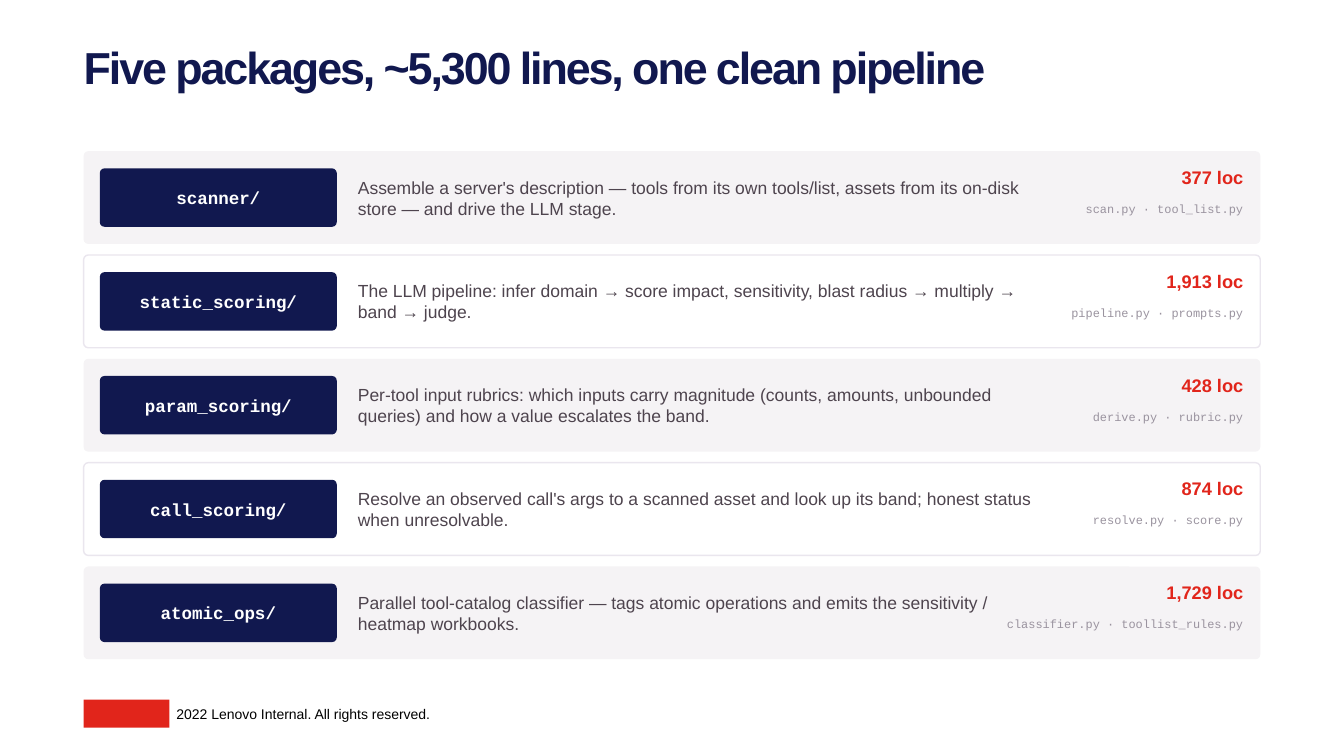
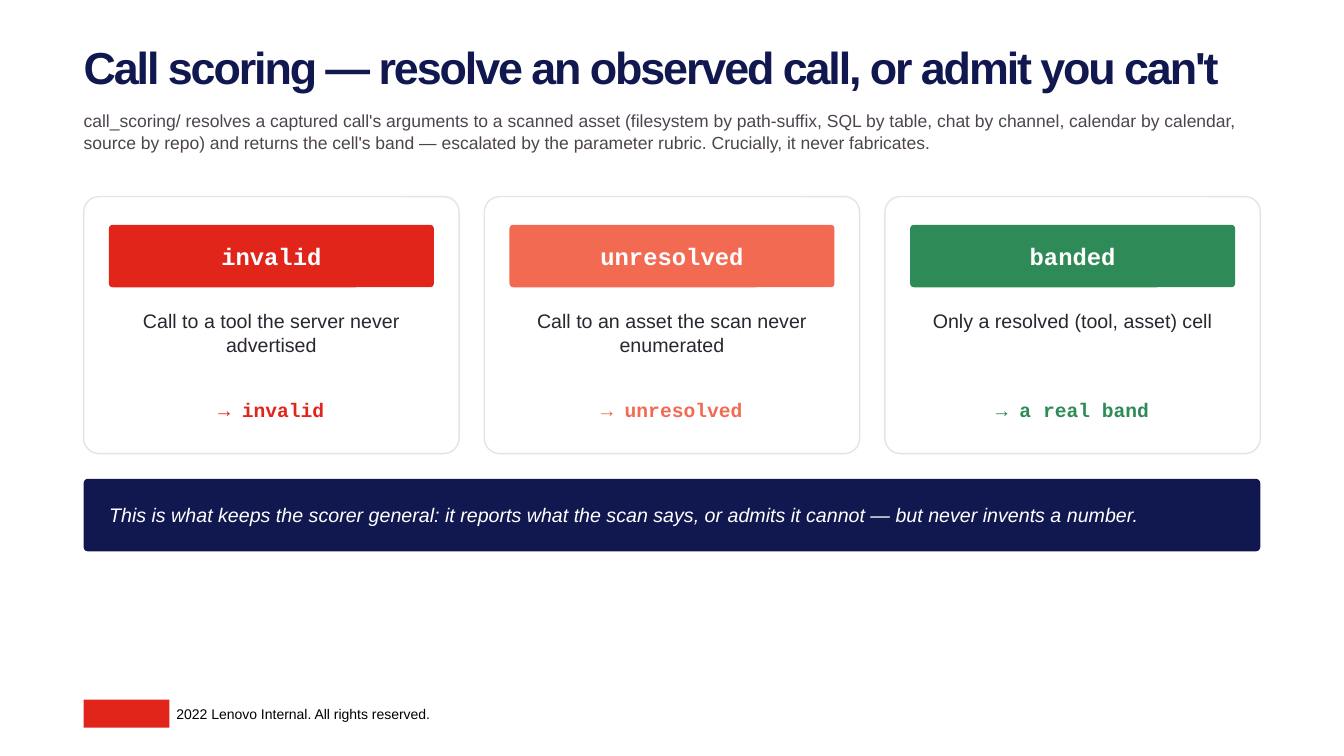
"""Build two slides on the scoring packages and the call scoring outcomes."""
from pptx import Presentation
from pptx import util as u
from pptx.dml import color as dml
from pptx.enum import shapes, text

COLOURS = {
    "navy": "11184F", "red": "E1251B", "coral": "F26A52", "green": "2E8B57",
    "white": "FFFFFF", "black": "000000", "band": "F5F3F5", "row_line": "EAE6EE",
    "card_line": "E6E2EA", "body": "4E444E", "ink": "2B2530", "muted": "9A939F",
}
SANS, MONO = "Arial", "Courier New"
LEFT, WIDTH = 0.83, 11.67
CENTER, RIGHT = text.PP_ALIGN.CENTER, text.PP_ALIGN.RIGHT
MIDDLE = text.MSO_ANCHOR.MIDDLE

PACKAGES = [
    ("scanner/", "Assemble a server's description — tools from its own tools/list, assets "
     "from its on-disk store — and drive the LLM stage.", "377 loc", "scan.py · tool_list.py"),
    ("static_scoring/", "The LLM pipeline: infer domain → score impact, sensitivity, blast "
     "radius → multiply → band → judge.", "1,913 loc", "pipeline.py · prompts.py"),
    ("param_scoring/", "Per-tool input rubrics: which inputs carry magnitude (counts, amounts, "
     "unbounded queries) and how a value escalates the band.", "428 loc",
     "derive.py · rubric.py"),
    ("call_scoring/", "Resolve an observed call's args to a scanned asset and look up its band; "
     "honest status when unresolvable.", "874 loc", "resolve.py · score.py"),
    ("atomic_ops/", "Parallel tool-catalog classifier — tags atomic operations and emits the "
     "sensitivity / heatmap workbooks.", "1,729 loc", "classifier.py · toollist_rules.py"),
]
OUTCOMES = [
    ("invalid", "Call to a tool the server never advertised", "→ invalid", "red"),
    ("unresolved", "Call to an asset the scan never enumerated", "→ unresolved", "coral"),
    ("banded", "Only a resolved (tool, asset) cell", "→ a real band", "green"),
]


class Deck:
    def __init__(self):
        self.presentation = Presentation()
        self.presentation.slide_width = u.Inches(13.33)
        self.presentation.slide_height = u.Inches(7.5)
        self.slide = None

    def add_slide(self, title):
        self.slide = self.presentation.slides.add_slide(self.presentation.slide_layouts[6])
        self.label(1.75, 7, 4.5, 0.17, "2022 Lenovo Internal. All rights reserved.", 10, "black")
        self.panel(LEFT, 6.94, 0.85, 0.28, "red")
        self.label(LEFT, 0.48, WIDTH, 0.46, title, 32, "navy",
                   bold=True, line_spacing=0.85, tracking=-1.5)

    def panel(self, left, top, width, height, fill, line=None, corner=None):
        preset = shapes.MSO_SHAPE.ROUNDED_RECTANGLE if corner else shapes.MSO_SHAPE.RECTANGLE
        shape = self.slide.shapes.add_shape(
            preset, u.Inches(left), u.Inches(top), u.Inches(width), u.Inches(height))
        shape.shadow.inherit = False
        if corner:
            shape.adjustments[0] = corner
        shape.fill.solid()
        shape.fill.fore_color.rgb = self.colour(fill)
        if line:
            shape.line.color.rgb = self.colour(line)
            shape.line.width = u.Pt(1)
        else:
            shape.line.fill.background()
        return shape

    def label(self, left, top, width, height, words, size, colour, **style):
        box = self.slide.shapes.add_textbox(
            u.Inches(left), u.Inches(top), u.Inches(width), u.Inches(height))
        self.set_words(box, words, size, colour, **style)

    def badge(self, left, top, width, height, words, size, fill, corner):
        shape = self.panel(left, top, width, height, fill, corner=corner)
        self.set_words(shape, words, size, "white", font=MONO, bold=True,
                       align=CENTER, anchor=MIDDLE)

    def set_words(self, shape, words, size, colour, font=SANS, bold=False, italic=False,
                  align=text.PP_ALIGN.LEFT, anchor=text.MSO_ANCHOR.TOP,
                  line_spacing=None, tracking=None, indent=0):
        frame = shape.text_frame
        frame.word_wrap = True
        frame.vertical_anchor = anchor
        frame.margin_left = frame.margin_right = u.Inches(indent)
        frame.margin_top = frame.margin_bottom = 0
        paragraph = frame.paragraphs[0]
        paragraph.alignment = align
        if line_spacing:
            paragraph.line_spacing = line_spacing
        run = paragraph.add_run()
        run.text = words
        run.font.name = font
        run.font.size = u.Pt(size)
        run.font.bold = bold
        run.font.italic = italic
        run.font.color.rgb = self.colour(colour)
        if tracking:
            run._r.get_or_add_rPr().set("spc", str(int(tracking * 100)))

    def package_row(self, top, shaded, name, summary, lines, files):
        self.panel(LEFT, top, WIDTH, 0.92, "band" if shaded else "white",
                   None if shaded else "row_line", 0.05)
        self.badge(0.99, top + 0.17, 2.35, 0.58, name, 12.5, "navy", 0.08)
        self.label(3.55, top + 0.08, 6.7, 0.76, summary, 12.5, "body", anchor=MIDDLE)
        self.label(10.33, top + 0.15, 2, 0.3, lines, 13, "red", bold=True, align=RIGHT)
        self.label(9.73, top + 0.5, 2.6, 0.3, files, 8.5, "muted", font=MONO, align=RIGHT)

    def outcome_card(self, left, width, status, cause, result, accent):
        self.panel(left, 1.95, width, 2.55, "white", "card_line", 0.06)
        self.badge(left + 0.25, 2.23, width - 0.5, 0.62, status, 17, accent, 0.06)
        self.label(left + 0.3, 3.05, width - 0.6, 0.9, cause, 14, "ink",
                   align=CENTER, line_spacing=1.05)
        self.label(left + 0.3, 3.95, width - 0.6, 0.45, result, 14, accent,
                   font=MONO, bold=True, align=CENTER)

    @staticmethod
    def colour(name):
        return dml.RGBColor.from_string(COLOURS[name])


def main():
    deck = Deck()

    deck.add_slide("Five packages, ~5,300 lines, one clean pipeline")
    for index, package in enumerate(PACKAGES):
        deck.package_row(1.5 + index * 1.03, index % 2 == 0, *package)

    deck.add_slide("Call scoring — resolve an observed call, or admit you can't")
    deck.label(LEFT, 1.08, WIDTH, 0.65,
               "call_scoring/ resolves a captured call's arguments to a scanned asset "
               "(filesystem by path-suffix, SQL by table, chat by channel, calendar by "
               "calendar, source by repo) and returns the cell's band — escalated by the "
               "parameter rubric. Crucially, it never fabricates.",
               12.5, "body", line_spacing=1.05)
    gap = 0.25
    card_width = (WIDTH - gap * (len(OUTCOMES) - 1)) / len(OUTCOMES)
    for index, outcome in enumerate(OUTCOMES):
        deck.outcome_card(LEFT + index * (card_width + gap), card_width, *outcome)
    callout = deck.panel(LEFT, 4.75, WIDTH, 0.72, "navy", corner=0.06)
    deck.set_words(callout, "This is what keeps the scorer general: it reports what the scan "
                   "says, or admits it cannot — but never invents a number.", 14, "white",
                   italic=True, anchor=MIDDLE, indent=0.24)

    deck.presentation.save("out.pptx")


if __name__ == "__main__":
    main()
